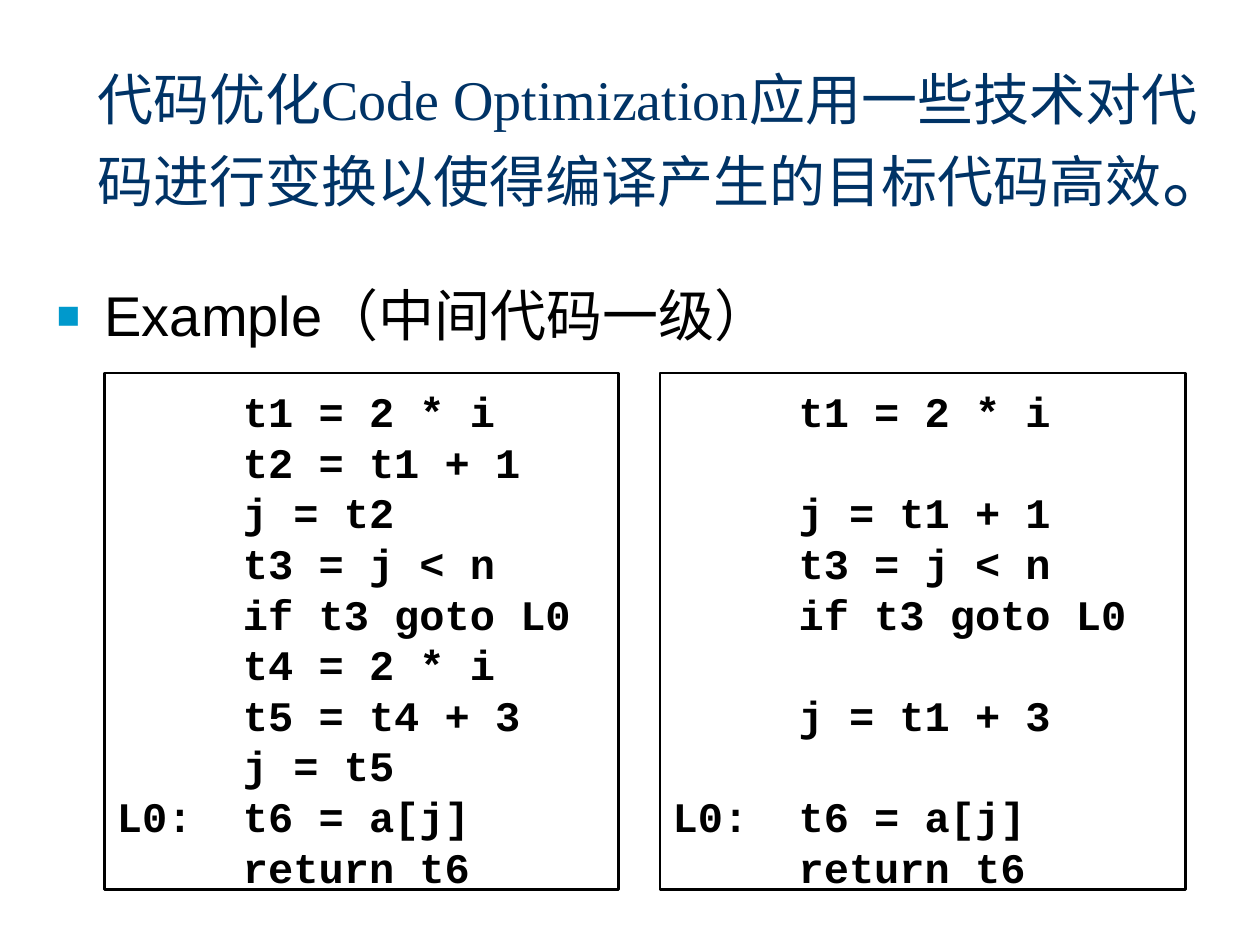
import pptx
import pptx.dml.color
import pptx.enum.shapes
import pptx.enum.text
import pptx.oxml
import pptx.oxml.ns
import pptx.util
from pptx.util import Inches

NAVY = pptx.dml.color.RGBColor(0x00, 0x33, 0x66)
BULLET_BLUE = pptx.dml.color.RGBColor(0x00, 0x99, 0xCC)
BLACK = pptx.dml.color.RGBColor(0x00, 0x00, 0x00)

ORIGINAL_CODE = """\tt1 = 2 * i
\tt2 = t1 + 1
\tj = t2
\tt3 = j < n
\tif t3 goto L0
\tt4 = 2 * i
\tt5 = t4 + 3
\tj = t5
L0: \tt6 = a[j]
\treturn t6"""

OPTIMIZED_CODE = """\tt1 = 2 * i
\t
\tj = t1 + 1
\tt3 = j < n
\tif t3 goto L0
\t
\tj = t1 + 3
\t
L0: \tt6 = a[j]
\treturn t6"""


def place(shape, box):
    """Move and size a shape to a box of left, top, width and height in inches."""
    shape.left, shape.top, shape.width, shape.height = map(Inches, box)


def set_font(font, name, size, color, bold=False):
    """Set the typeface, size, colour and weight of a font."""
    font.name = name
    font.size = pptx.util.Pt(size)
    font.color.rgb = color
    font.bold = bold


def add_property(paragraph, xml):
    """Append a drawing element to the paragraph properties."""
    declaration = pptx.oxml.ns.nsdecls("a")
    element = pptx.oxml.parse_xml(xml.replace(" ", f" {declaration} ", 1))
    paragraph._p.get_or_add_pPr().append(element)


def fill_title(title, box):
    """Write the definition of code optimization in the title."""
    place(title, box)
    frame = title.text_frame
    frame.auto_size = pptx.enum.text.MSO_AUTO_SIZE.NONE
    frame.vertical_anchor = pptx.enum.text.MSO_ANCHOR.MIDDLE
    paragraph = frame.paragraphs[0]
    paragraph.alignment = pptx.enum.text.PP_ALIGN.LEFT
    parts = (
        ("代码优化Code Optimization应用一些技术对代码进行变换以使得编译产生的目标代码高效", 32),
        ("。", 40),
    )
    for text, size in parts:
        run = paragraph.add_run()
        run.text = text
        set_font(run.font, "Times New Roman", size, NAVY)


def fill_body(body, box):
    """Write the bulleted heading of the example."""
    place(body, box)
    frame = body.text_frame
    frame.auto_size = pptx.enum.text.MSO_AUTO_SIZE.NONE
    paragraph = frame.paragraphs[0]
    paragraph.text = "Example（中间代码一级）"
    paragraph.space_before = pptx.util.Pt(0)
    properties = paragraph._p.get_or_add_pPr()
    properties.set("marL", str(Inches(0.38)))
    properties.set("indent", str(Inches(-0.38)))
    add_property(paragraph, f'<a:buClr ><a:srgbClr val="{BULLET_BLUE}"/></a:buClr>')
    add_property(paragraph, '<a:buSzPct val="70000"/>')
    add_property(paragraph, '<a:buFont typeface="Arial"/>')
    add_property(paragraph, '<a:buChar char="■"/>')
    set_font(paragraph.font, "Arial", 32, BLACK)


def add_code_box(slide, box, code):
    """Add an outlined box with a code listing."""
    shape = slide.shapes.add_shape(
        pptx.enum.shapes.MSO_SHAPE.RECTANGLE, *map(Inches, box)
    )
    shape.shadow.inherit = False
    shape.fill.background()
    shape.line.color.rgb = BLACK
    shape.line.width = pptx.util.Pt(1.25)
    frame = shape.text_frame
    frame.word_wrap = True
    frame.vertical_anchor = pptx.enum.text.MSO_ANCHOR.TOP
    frame.margin_top = Inches(0.1)
    paragraph = frame.paragraphs[0]
    paragraph.text = code
    paragraph.alignment = pptx.enum.text.PP_ALIGN.LEFT
    paragraph.line_spacing = pptx.util.Pt(28.9)
    tab = f'<a:tab pos="{Inches(1)}" algn="l"/>'
    add_property(paragraph, f"<a:tabLst >{tab}</a:tabLst>")
    set_font(paragraph.font, "Courier New", 24, BLACK, bold=True)


def build_slide(presentation):
    """Add the code optimization slide."""
    slide = presentation.slides.add_slide(presentation.slide_layouts[1])
    fill_title(slide.shapes.title, (0.67, 0.21, 8.98, 1.81))
    fill_body(slide.placeholders[1], (0.35, 2.18, 9.03, 4.5))
    add_code_box(slide, (0.83, 2.96, 4.08, 4.1), ORIGINAL_CODE)
    add_code_box(slide, (5.24, 2.96, 4.17, 4.1), OPTIMIZED_CODE)


def main():
    """Build and save the presentation."""
    presentation = pptx.Presentation()
    presentation.slide_width = Inches(10)
    presentation.slide_height = Inches(7.5)
    build_slide(presentation)
    presentation.save("out.pptx")


if __name__ == "__main__":
    main()
